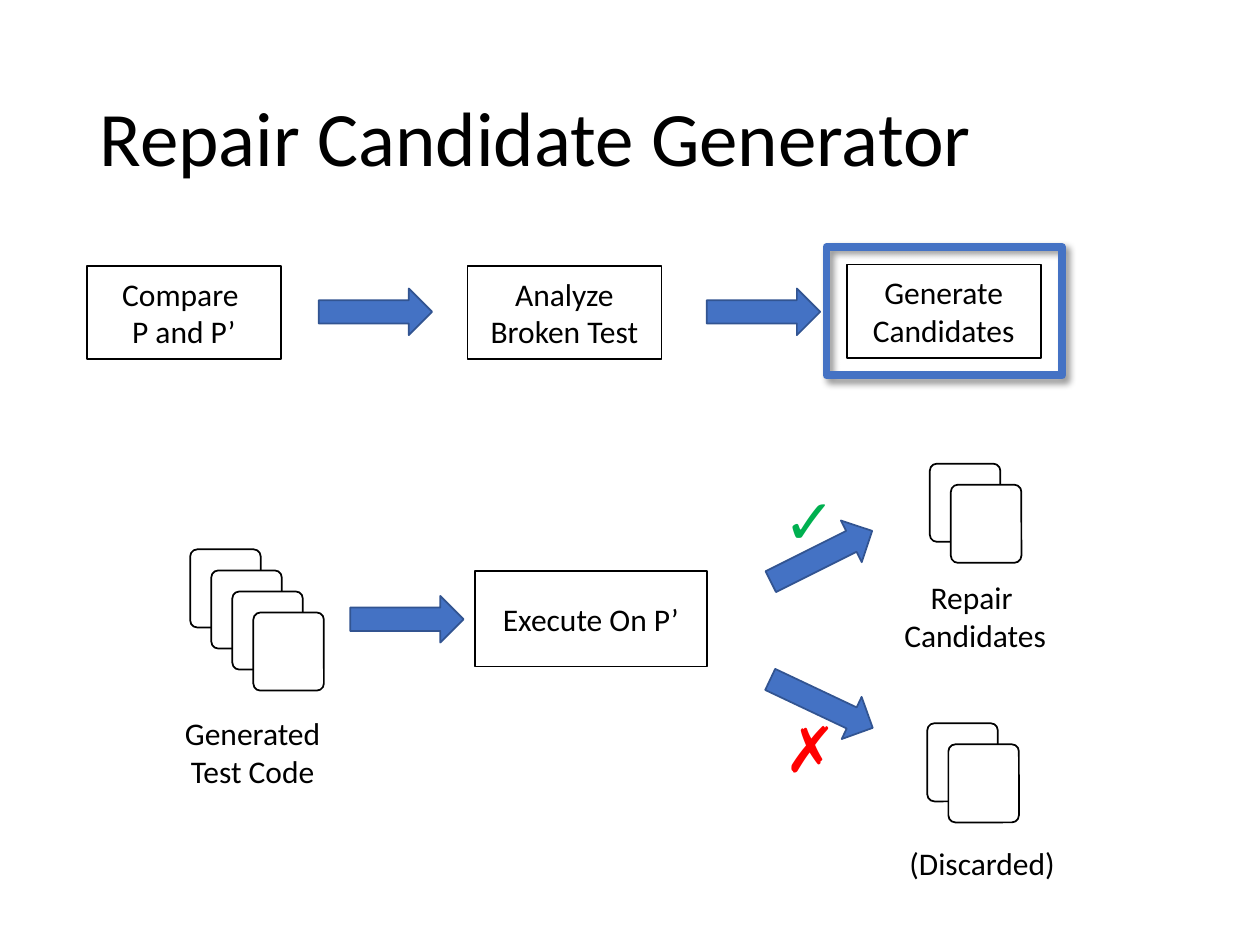
from lxml import etree
from pptx import Presentation
from pptx.dml.color import RGBColor
from pptx.enum.shapes import MSO_SHAPE
from pptx.enum.text import MSO_ANCHOR, MSO_AUTO_SIZE, PP_ALIGN
from pptx.oxml.ns import qn
from pptx.util import Inches, Pt

RECTANGLE = MSO_SHAPE.RECTANGLE
CARD = MSO_SHAPE.ROUNDED_RECTANGLE
ARROW = MSO_SHAPE.RIGHT_ARROW
LEFT, CENTER = PP_ALIGN.LEFT, PP_ALIGN.CENTER
MIDDLE = MSO_ANCHOR.MIDDLE
FIT_SHAPE, NO_FIT = MSO_AUTO_SIZE.SHAPE_TO_FIT_TEXT, MSO_AUTO_SIZE.NONE

BLACK, WHITE, BLUE, DARK_BLUE = "000000", "FFFFFF", "4472C4", "325491"
GREEN, RED = "00B050", "FF0000"

TITLE = "Repair Candidate Generator"
STEPS = [
    (0.69, 2.11, 1.54, 0.74, ["Compare ", "P and P’"]),
    (3.71, 2.11, 1.54, 0.74, ["Analyze", "Broken Test"]),
    (6.72, 2.1, 1.54, 0.74, ["Generate", "Candidates"]),
    (3.77, 4.53, 1.84, 0.76, ["Execute On P’"]),
]
ARROWS = [
    (2.53, 2.29, 0),
    (5.61, 2.29, 0),
    (2.78, 4.73, 0),
    (6.07, 4.23, -26.6),
    (6.07, 5.4, 25.3),
]
CARD_STACKS = [(1.51, 4.36, 4), (7.38, 3.68, 2), (7.36, 5.74, 2)]
CARD_STEP = 0.167
LABELS = [
    (1.36, 5.62, 1.29, 0.71, ["Generated", "Test Code"]),
    (7.07, 4.54, 1.34, 0.71, ["Repair ", "Candidates"]),
    (7.11, 6.65, 1.37, 0.4, ["(Discarded)"]),
]
MARKS = [(6.12, 3.77, 0.6, 0.71, "✓", GREEN), (6.13, 5.58, 0.52, 0.71, "✗", RED)]
FRAME = (6.56, 1.96, 1.87, 1.02)


def color(value):
    return RGBColor.from_string(value)


def write(text_frame, lines, size=18, font="Calibri", ink=BLACK, align=CENTER):
    for index, line in enumerate(lines):
        paragraph = text_frame.add_paragraph() if index else text_frame.paragraphs[0]
        paragraph.alignment = align
        run = paragraph.add_run()
        run.text = line
        run.font.size = Pt(size)
        run.font.name = font
        run.font.color.rgb = color(ink)


def add_shape(slide, kind, box, fill=WHITE, line=BLACK, width=1):
    shape = slide.shapes.add_shape(kind, *map(Inches, box))
    shape.shadow.inherit = False
    if fill:
        shape.fill.solid()
        shape.fill.fore_color.rgb = color(fill)
    else:
        shape.fill.background()
    shape.line.color.rgb = color(line)
    shape.line.width = Pt(width)
    return shape


def add_label(slide, box, lines, **style):
    text_frame = slide.shapes.add_textbox(*map(Inches, box)).text_frame
    text_frame.word_wrap = False
    text_frame.auto_size = FIT_SHAPE
    write(text_frame, lines, **style)


def add_outer_shadow(shape):
    effects = shape._element.spPr.find(qn("a:effectLst"))
    shadow = etree.SubElement(effects, qn("a:outerShdw"), blurRad=str(Pt(4)),
                              dist=str(Pt(3)), dir=str(45 * 60000),
                              algn="tl", rotWithShape="0")
    shade = etree.SubElement(shadow, qn("a:srgbClr"), val=BLACK)
    etree.SubElement(shade, qn("a:alpha"), val="40000")


def main():
    presentation = Presentation()
    presentation.slide_width, presentation.slide_height = Inches(10), Inches(7.5)
    slide = presentation.slides.add_slide(presentation.slide_layouts[5])

    title = slide.shapes.title
    title.left, title.top, title.width, title.height = map(Inches, (0.69, 0.4, 8.62, 1.45))
    title.text_frame.vertical_anchor = MIDDLE
    title.text_frame.auto_size = NO_FIT
    write(title.text_frame, [TITLE], size=44, align=LEFT)
    title.text_frame.paragraphs[0].line_spacing = 0.9

    for *box, lines in STEPS:
        step = add_shape(slide, RECTANGLE, box)
        step.text_frame.vertical_anchor = MIDDLE
        write(step.text_frame, lines)

    for left, top, count in CARD_STACKS:
        for index in range(count):
            offset = index * CARD_STEP
            card = add_shape(slide, CARD, (left + offset, top + offset, 0.56, 0.62))
            card.adjustments[0] = 0.1

    for left, top, angle in ARROWS:
        arrow = add_shape(slide, ARROW, (left, top, 0.9, 0.37), BLUE, DARK_BLUE)
        arrow.rotation = angle

    for *box, lines in LABELS:
        add_label(slide, box, lines)
    for *box, mark, ink in MARKS:
        add_label(slide, box, [mark], size=36, font="Arial", ink=ink, align=LEFT)

    frame = add_shape(slide, RECTANGLE, FRAME, None, BLUE, 4.5)
    add_outer_shadow(frame)

    presentation.save("out.pptx")


if __name__ == "__main__":
    main()
